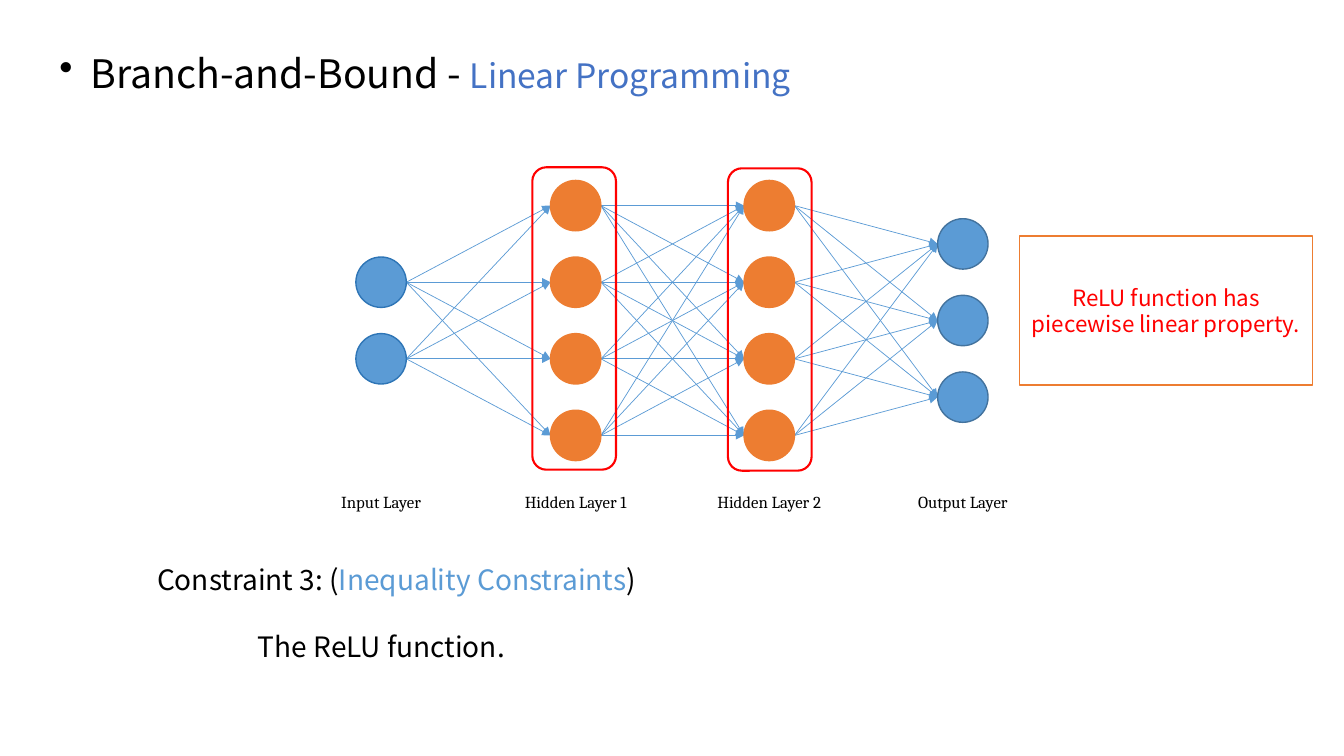
from itertools import product
from pptx import Presentation
from pptx.dml.color import RGBColor
from pptx.enum.shapes import MSO_CONNECTOR, MSO_SHAPE as SHAPE
from pptx.enum.text import MSO_ANCHOR as ANCHOR, PP_ALIGN as ALIGN
from pptx.oxml.ns import qn
from pptx.util import Inches, Pt
from lxml import etree

COLORS = {"black": "000000", "white": "FFFFFF", "title": "4472C4", "blue": "5B9BD5",
          "input_edge": "2E75B6", "output_edge": "43739E", "orange": "ED7D31", "red": "FF0000"}
SANS, SERIF = "Noto Sans CJK SC", "Cambria"

# Network geometry, in inches: name, centre x, node count, fill, outline
LAYERS = [("Input Layer", 3.78, 2, "blue", "input_edge"),
          ("Hidden Layer 1", 5.71, 4, "orange", "orange"),
          ("Hidden Layer 2", 7.63, 4, "orange", "orange"),
          ("Output Layer", 9.55, 3, "blue", "output_edge")]
MIDDLE, ROW_PITCH, NODE = 3.18, 0.76, 0.5
LABEL_TOP, LABEL_W, LABEL_H = 4.83, 1.37, 0.3


def rgb(name):
    return RGBColor.from_string(COLORS[name])


def write(p, runs, font=SANS, **formats):
    """Apply paragraph formats, then add runs of (text, size, colour)."""
    for key, value in formats.items():
        setattr(p, key, value)
    for text, size, color in runs:
        r = p.add_run()
        r.text = text
        for key, value in {"name": font, "size": Pt(size)}.items():
            setattr(r.font, key, value)
        r.font.color.rgb = rgb(color)


def add_text(slide, x, y, w, h):
    tf = slide.shapes.add_textbox(*map(Inches, (x, y, w, h))).text_frame
    tf.word_wrap = True
    return tf


def add_box(slide, kind, x, y, w, h, line, width=1, fill=None):
    sp = slide.shapes.add_shape(kind, *map(Inches, (x, y, w, h)))
    sp.shadow.inherit = False
    if fill:
        sp.fill.solid()
        sp.fill.fore_color.rgb = rgb(fill)
    else:
        sp.fill.background()
    sp.line.color.rgb = rgb(line)
    sp.line.width = Pt(width)
    return sp


def add_arrow(slide, x1, y1, x2, y2):
    cn = slide.shapes.add_connector(MSO_CONNECTOR.STRAIGHT, *map(Inches, (x1, y1, x2, y2)))
    cn.line.color.rgb = rgb("blue")
    cn.line.width = Pt(0.5)
    etree.SubElement(cn.line._get_or_add_ln(), qn("a:tailEnd"), type="triangle")
    etree.SubElement(cn._element.spPr, qn("a:effectLst"))


def add_bullet(p, indent):
    pPr = p._p.get_or_add_pPr()
    pPr.set("marL", str(Inches(indent)))
    pPr.set("indent", str(Inches(-indent)))
    etree.SubElement(pPr, qn("a:buChar"), char="•")


def row_centres(count):
    return [MIDDLE + (i - (count - 1) / 2) * ROW_PITCH for i in range(count)]


def add_network(slide):
    # Every node feeds every node of the next layer
    for (_, x1, n1, *_), (_, x2, n2, *_) in zip(LAYERS, LAYERS[1:]):
        for y1, y2 in product(row_centres(n1), row_centres(n2)):
            add_arrow(slide, x1 + NODE / 2, y1, x2 - NODE / 2, y2)
    # Nodes and layer names
    for name, x, count, fill, line in LAYERS:
        for y in row_centres(count):
            add_box(slide, SHAPE.FLOWCHART_CONNECTOR, x - NODE / 2, y - NODE / 2,
                    NODE, NODE, line, fill=fill)
        tf = add_text(slide, x - LABEL_W / 2, LABEL_TOP, LABEL_W, LABEL_H)
        write(tf.paragraphs[0], [(name, 12, "black")], SERIF, alignment=ALIGN.CENTER)
    # Frames round the hidden layers
    for x, y in ((5.28, 1.66), (7.22, 1.67)):
        add_box(slide, SHAPE.ROUNDED_RECTANGLE, x, y, 0.83, 3, "red", 1.5)


def main():
    prs = Presentation()
    prs.slide_width, prs.slide_height = Inches(13.33), Inches(7.5)
    slide = prs.slides.add_slide(prs.slide_layouts[6])

    # Title
    p = add_text(slide, 0.49, 0.32, 9.47, 0.64).paragraphs[0]
    add_bullet(p, 0.31)
    write(p, [("Branch-and-Bound - ", 28, "black"), ("Linear Programming", 24, "title")],
          line_spacing=1.25)

    add_network(slide)

    # Constraint
    tf = add_text(slide, 1.46, 5.53, 10.4, 1.11)
    write(tf.paragraphs[0], [("Constraint 3: (", 20, "black"),
                             ("Inequality Constraints", 20, "blue"), (")", 20, "black")])
    p = tf.add_paragraph()
    p._p.get_or_add_pPr().set("marL", str(Inches(1)))
    write(p, [("The ReLU function.", 20, "black")], space_before=Pt(24))

    # ReLU note
    tf = add_box(slide, SHAPE.RECTANGLE, 10.11, 2.34, 2.91, 1.48, "orange", fill="white").text_frame
    for key, value in {"word_wrap": True, "vertical_anchor": ANCHOR.MIDDLE}.items():
        setattr(tf, key, value)
    write(tf.paragraphs[0], [("ReLU function has piecewise linear property.", 16, "red")],
          alignment=ALIGN.CENTER)

    prs.save("out.pptx")


if __name__ == "__main__":
    main()
